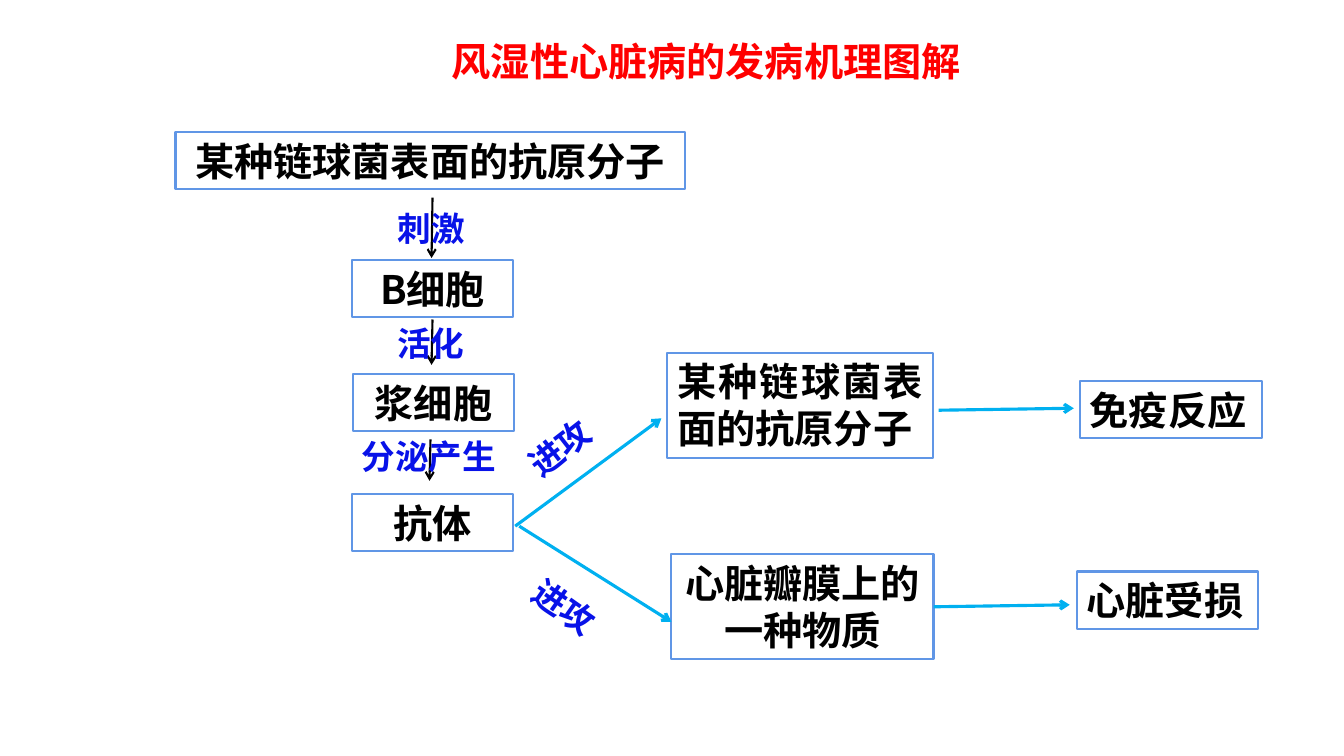
from typing import NamedTuple

from lxml.etree import SubElement
from pptx import Presentation
from pptx.dml.color import RGBColor
from pptx.enum.shapes import MSO_CONNECTOR, MSO_SHAPE
from pptx.enum.text import MSO_ANCHOR, MSO_AUTO_SIZE, PP_ALIGN
from pptx.oxml.ns import qn
from pptx.shapes.autoshape import Shape
from pptx.slide import Slide
from pptx.util import Emu, Pt

PX = 9144  # 100 px to the inch
BLACK = RGBColor(0x00, 0x00, 0x00)
RED = RGBColor(0xFF, 0x00, 0x00)
BLUE = RGBColor(0x08, 0x12, 0xE8)
FRAME = RGBColor(0x60, 0x96, 0xE6)
CYAN = RGBColor(0x00, 0xB0, 0xF0)
SANS_SC = "Noto Sans CJK SC"
SANS_JP = "Noto Sans CJK JP"
LEFT, CENTER, JUSTIFY = PP_ALIGN.LEFT, PP_ALIGN.CENTER, PP_ALIGN.JUSTIFY


class Box(NamedTuple):
    text: str
    x: int
    y: int
    w: int
    h: int = 57
    align: PP_ALIGN = CENTER


class Label(NamedTuple):
    text: str
    x: int
    y: int
    w: int
    h: int = 50
    align: PP_ALIGN = LEFT
    turn: int = 0
    pitch: float | None = None


class Arrow(NamedTuple):
    x1: int
    y1: int
    x2: int
    y2: int
    color: RGBColor = CYAN
    width: float = 2.25


class Style(NamedTuple):
    size: int
    color: RGBColor
    face: str


TITLE = Style(28, RED, SANS_SC)
BODY = Style(28, BLACK, SANS_SC)
NOTE = Style(24, BLUE, SANS_JP)

HEAD = Label("风湿性心脏病的发病机理图解", 380, 32, 641, 57, CENTER)
BOXES = [
    Box("某种链球菌表面的抗原分子", 174, 131, 505),
    Box("B细胞", 349, 258, 160),
    Box("浆细胞", 350, 371, 160),
    Box("抗体", 349, 490, 160),
    Box("某种链球菌表面的抗原分子", 662, 350, 263, 104, JUSTIFY),
    Box("免疫反应", 1071, 378, 181, align=LEFT),
    Box("心脏瓣膜上的一种物质", 666, 550, 260, 104),
    Box("心脏受损", 1068, 567, 180, align=LEFT),
]
ARROWS = [
    Arrow(429, 196, 428, 256, BLACK, 1.5),
    Arrow(429, 317, 428, 362, BLACK, 1.5),
    Arrow(427, 436, 426, 477, BLACK, 1.5),
    Arrow(511, 522, 656, 415),
    Arrow(515, 522, 666, 617),
    Arrow(931, 407, 1065, 405),
    Arrow(926, 602, 1061, 600),
]
LABELS = [
    Label("刺激", 355, 201, 146, align=CENTER),
    Label("活化", 384, 315, 136),
    Label("分泌产生", 349, 428, 164),
    Label("进攻", 507, 404, 87, 67, turn=322, pitch=40.6),
    Label("进攻", 521, 562, 87, 67, turn=35, pitch=40.6),
]


def px(*nums: int) -> list[Emu]:
    return [Emu(num * PX) for num in nums]


def write(shape: Shape, item: Box | Label, style: Style) -> None:
    frame = shape.text_frame
    frame.word_wrap = True
    frame.auto_size = MSO_AUTO_SIZE.SHAPE_TO_FIT_TEXT
    frame.vertical_anchor = MSO_ANCHOR.TOP
    para = frame.paragraphs[0]
    para.alignment = item.align
    run = para.add_run()
    run.text = item.text
    run.font.color.rgb = style.color
    looks = {"size": Pt(style.size), "bold": True, "name": style.face}
    for key, value in looks.items():
        setattr(run.font, key, value)
    # Chinese glyphs take the East Asian face, not the Latin one.
    SubElement(run.font._element, qn("a:ea"), typeface=style.face)


def draw_box(slide: Slide, box: Box) -> None:
    shape = slide.shapes.add_shape(
        MSO_SHAPE.RECTANGLE, *px(box.x, box.y, box.w, box.h))
    shape.shadow.inherit = False
    shape.fill.background()
    shape.line.color.rgb = FRAME
    shape.line.width = Pt(1.5)
    write(shape, box, BODY)


def draw_label(slide: Slide, label: Label, style: Style) -> None:
    shape = slide.shapes.add_textbox(
        *px(label.x, label.y, label.w, label.h))
    shape.rotation = label.turn
    write(shape, label, style)
    if label.pitch:
        shape.text_frame.paragraphs[0].line_spacing = Pt(label.pitch)


def draw_arrow(slide: Slide, arrow: Arrow) -> None:
    link = slide.shapes.add_connector(
        MSO_CONNECTOR.STRAIGHT, *px(arrow.x1, arrow.y1, arrow.x2, arrow.y2))
    link.line.color.rgb = arrow.color
    link.line.width = Pt(arrow.width)
    SubElement(link.line._get_or_add_ln(), qn("a:tailEnd"), type="arrow")
    SubElement(link._element.spPr, qn("a:effectLst"))


def main() -> None:
    deck = Presentation()
    deck.slide_width, deck.slide_height = px(1333, 750)
    slide = deck.slides.add_slide(deck.slide_layouts[6])
    for box in BOXES:
        draw_box(slide, box)
    for arrow in ARROWS:
        draw_arrow(slide, arrow)
    for label in LABELS:
        draw_label(slide, label, NOTE)
    draw_label(slide, HEAD, TITLE)
    deck.save("out.pptx")


if __name__ == "__main__":
    main()
